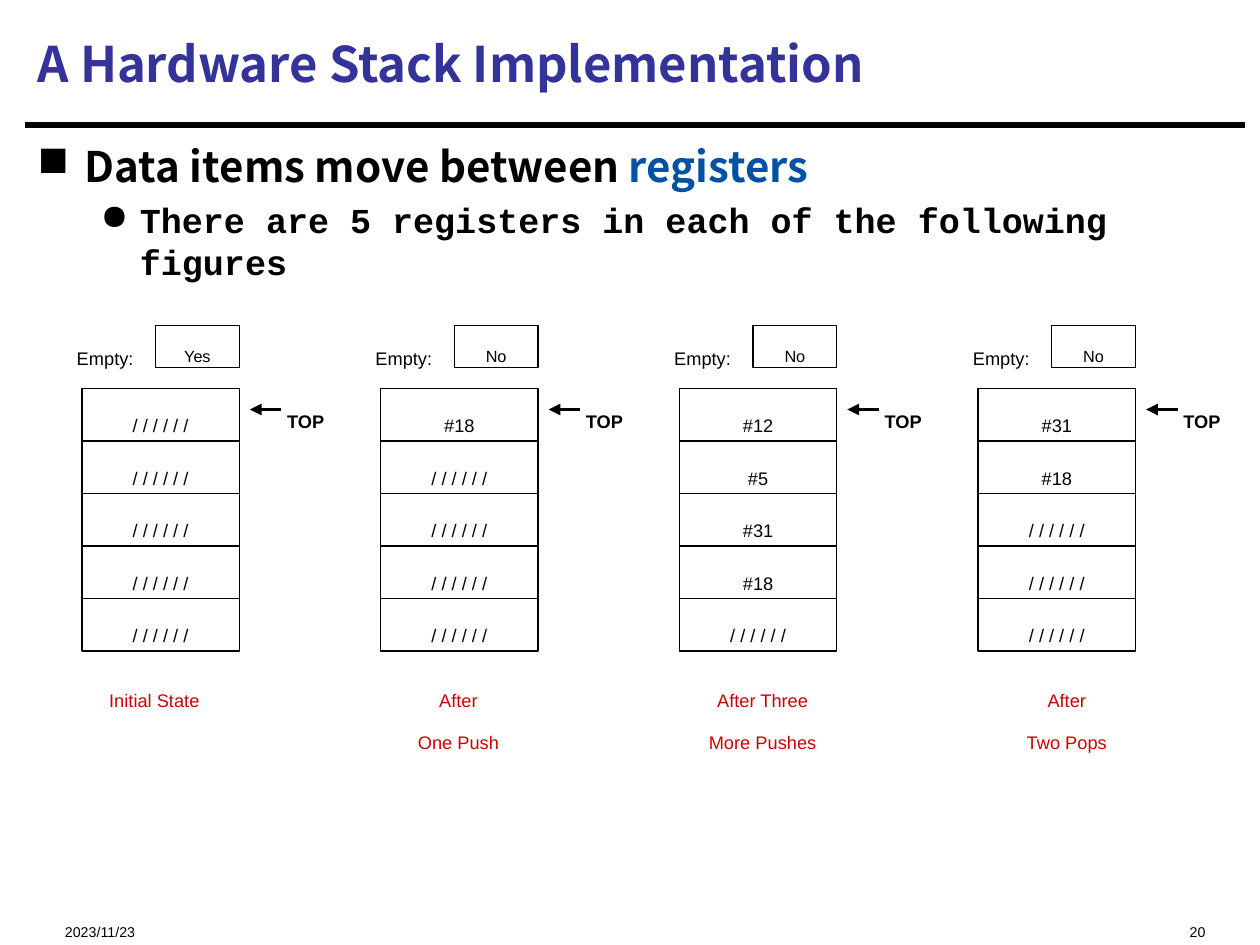
import pptx
import pptx.dml.color
import pptx.enum.shapes
import pptx.enum.text
import pptx.oxml
import pptx.oxml.ns
import pptx.util

Pt = pptx.util.Pt
ALIGN = pptx.enum.text.PP_ALIGN
ANCHOR = pptx.enum.text.MSO_ANCHOR
BLACK, NAVY, BLUE, RED = "000000", "333399", "0152A3", "CE0000"
HEADING, BODY, CODE = "Noto Sans CJK SC", "Arial", "Courier New"
UNUSED = "/ / / / / /"
STACK_LEFT, STACK_TOP, STACK_PITCH = 46.8, 222, 170.7
CELL_WIDTH, CELL_HEIGHT = 90, 30
CAPTION_CENTRE, CAPTION_PITCH = 88.2, 173.8
STACKS = [
    ("Yes", [], ["Initial State"], 104.4),
    ("No", ["#18"], ["After", "One Push"], 95),
    ("No", ["#12", "#5", "#31", "#18"], ["After Three", "More Pushes"], 121.7),
    ("No", ["#31", "#18"], ["After", "Two Pops"], 94.3),
]


def color(value):
    return pptx.dml.color.RGBColor.from_string(value)


def add_xml(parent, tag, **attributes):
    element = pptx.oxml.ns.qn(tag)
    child = parent.makeelement(element, attributes)
    parent.append(child)
    return child


class Deck:
    """Draw styled elements on the current slide, with lengths in points."""

    def __init__(self, slide):
        self.slide = slide

    def fill_paragraph(self, paragraph, text, size, font=BODY, ink=BLACK,
                       bold=False, align=ALIGN.LEFT, lowered=True):
        paragraph.alignment = align
        paragraph.font.size = Pt(size)
        paragraph.font.name = font
        paragraph.font.bold = bold
        run = paragraph.add_run()
        run.text = text
        run.font.color.rgb = color(ink)
        if lowered:
            run._r.get_or_add_rPr().set("baseline", "-25000")

    def text(self, left, top, width, height, lines, size, wrap=False,
             anchor=ANCHOR.TOP, **style):
        frame = self.slide.shapes.add_textbox(
            Pt(left), Pt(top), Pt(width), Pt(height)).text_frame
        frame.word_wrap = wrap
        frame.vertical_anchor = anchor
        if not wrap:
            frame.auto_size = pptx.enum.text.MSO_AUTO_SIZE.SHAPE_TO_FIT_TEXT
        for index, line in enumerate(lines):
            paragraph = frame.add_paragraph() if index else frame.paragraphs[0]
            self.fill_paragraph(paragraph, line, size, **style)

    def bullet(self, paragraph, mark, margin, hanging, level=0):
        paragraph.level = level
        paragraph.space_before = Pt(paragraph.font.size.pt * 0.2)
        properties = paragraph._p.get_or_add_pPr()
        properties.set("marL", str(Pt(margin)))
        properties.set("indent", str(-Pt(hanging)))
        character = add_xml(properties, "a:buChar", char=mark)
        properties.find(pptx.oxml.ns.qn("a:defRPr")).addprevious(character)

    def bullets(self, left, top, width, height):
        frame = self.slide.shapes.add_textbox(
            Pt(left), Pt(top), Pt(width), Pt(height)).text_frame
        frame.word_wrap = True
        topic = frame.paragraphs[0]
        self.fill_paragraph(topic, "Data items move between ", 24, HEADING,
                            bold=True, lowered=False)
        keyword = topic.add_run()
        keyword.text = "registers"
        keyword.font.color.rgb = color(BLUE)
        self.bullet(topic, "■", 27, 27)
        detail = frame.add_paragraph()
        self.fill_paragraph(
            detail, "There are 5 registers in each of the following figures",
            20, CODE, bold=True, lowered=False)
        self.bullet(detail, "●", 58.5, 22.5, level=1)

    def box(self, left, top, width, height, label, size):
        cell = self.slide.shapes.add_shape(
            pptx.enum.shapes.MSO_SHAPE.RECTANGLE,
            Pt(left), Pt(top), Pt(width), Pt(height))
        cell.shadow.inherit = False
        cell.fill.background()
        cell.line.color.rgb = color(BLACK)
        cell.line.width = Pt(0.75)
        cell.text_frame.word_wrap = False
        cell.text_frame.vertical_anchor = ANCHOR.MIDDLE
        self.fill_paragraph(cell.text_frame.paragraphs[0], label, size,
                            align=ALIGN.CENTER)

    def line(self, start, end, y, weight, arrow=False):
        rule = self.slide.shapes.add_connector(
            pptx.enum.shapes.MSO_CONNECTOR.STRAIGHT,
            Pt(start), Pt(y), Pt(end), Pt(y))
        rule.line.color.rgb = color(BLACK)
        rule.line.width = Pt(weight)
        if arrow:
            add_xml(rule.line._get_or_add_ln(), "a:tailEnd", type="triangle")
        add_xml(rule._element.spPr, "a:effectLst")

    def stack(self, left, empty, items):
        cells = items + [UNUSED] * (5 - len(items))
        for row, item in enumerate(cells):
            self.box(left, STACK_TOP + row * CELL_HEIGHT,
                     CELL_WIDTH, CELL_HEIGHT, item, 18)
        self.box(left + 42, STACK_TOP - 36, 48, 24, empty, 16)
        self.text(left - 34, STACK_TOP - 39, 70.6, 29, ["Empty:"], 18,
                  align=ALIGN.RIGHT)
        self.text(left + 110.2, STACK_TOP - 3, 52, 29, ["TOP"], 18, bold=True)
        self.line(left + 114, left + 96, STACK_TOP + 12, 2.25, arrow=True)


def main():
    presentation = pptx.Presentation()
    presentation.slide_width, presentation.slide_height = Pt(720), Pt(540)
    deck = Deck(presentation.slides.add_slide(presentation.slide_layouts[6]))
    deck.line(14.4, 711.4, 71.4, 3.75)
    deck.text(14.4, 5.8, 696.2, 60.5, ["A Hardware Stack Implementation"], 28,
              wrap=True, anchor=ANCHOR.MIDDLE, font=HEADING, ink=NAVY,
              bold=True, lowered=False)
    deck.bullets(14.4, 77, 696.2, 431.3)
    deck.text(30, 514.8, 180, 19.4, ["2023/11/23"], 14, wrap=True)
    deck.text(480, 514.8, 216, 19.4, ["20"], 14, wrap=True, align=ALIGN.RIGHT)
    for index, (empty, items, caption, width) in enumerate(STACKS):
        deck.stack(STACK_LEFT + index * STACK_PITCH, empty, items)
        centre = CAPTION_CENTRE + index * CAPTION_PITCH
        deck.text(centre - width / 2, 378, width, 6.8 + 22.2 * len(caption),
                  caption, 18, ink=RED, align=ALIGN.CENTER)
    presentation.save("out.pptx")


if __name__ == "__main__":
    main()
